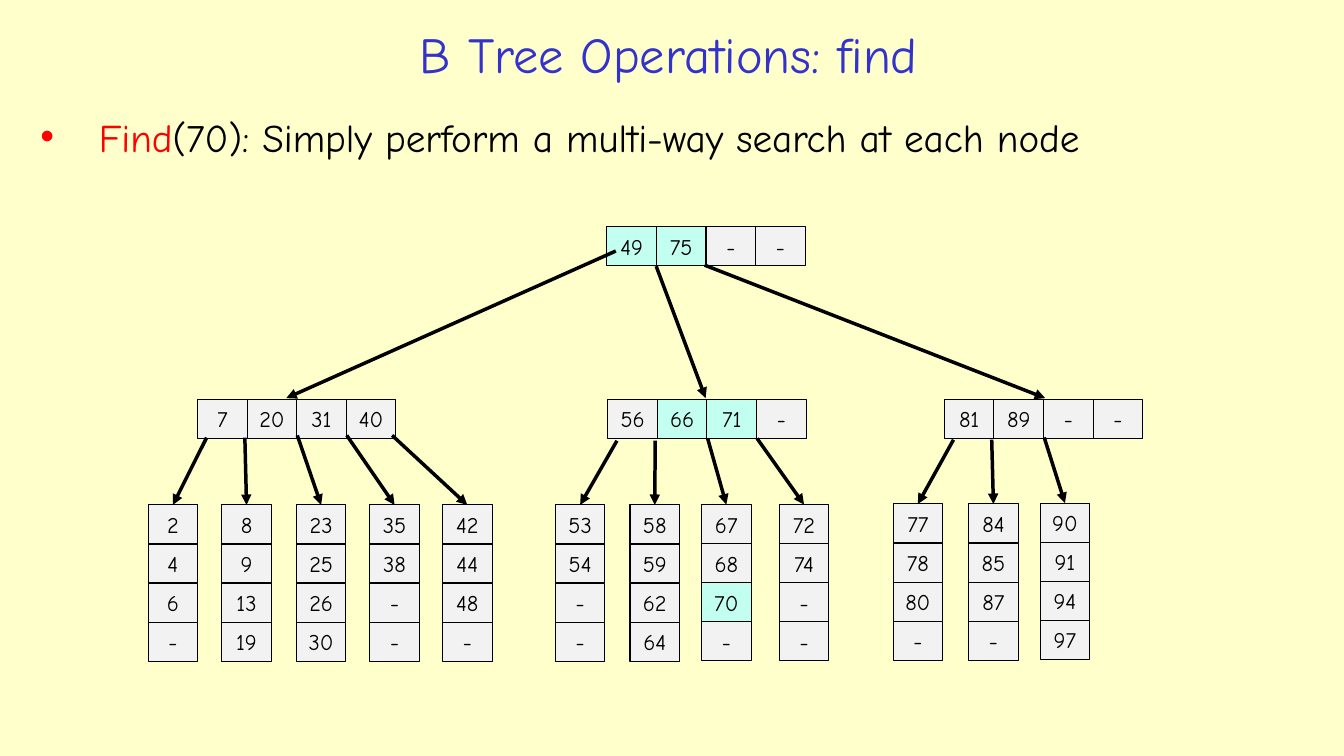
from lxml import etree
from pptx import Presentation
from pptx.dml.color import RGBColor
from pptx.enum.shapes import MSO_CONNECTOR, MSO_SHAPE
from pptx.enum.text import MSO_ANCHOR, MSO_AUTO_SIZE, PP_ALIGN
from pptx.oxml.ns import qn
from pptx.util import Pt

RECTANGLE = MSO_SHAPE.RECTANGLE
STRAIGHT = MSO_CONNECTOR.STRAIGHT
MIDDLE, TOP = MSO_ANCHOR.MIDDLE, MSO_ANCHOR.TOP
CENTER, LEFT = PP_ALIGN.CENTER, PP_ALIGN.LEFT
NO_AUTOFIT = MSO_AUTO_SIZE.NONE
TOP_SITE = 0

COLORS = {
    "background": "FFFFCC",
    "title": "3333CC",
    "keyword": "FF0000",
    "ink": "000000",
    "key": "F2F2F2",
    "visited": "C2FFF0",
}
FONT = "Comic Neue"
KEY_WIDTH, KEY_HEIGHT = 35.4, 27.9
VISITED = {"49", "75", "66", "71", "70"}

ROOT = (433.5, 162, "49 75 - -")
ROOT_ARROWS = [
    ((439.9, 179.3), (204.5, 284.4)),
    ((468.7, 190.1), (504, 284.4)),
    ((503.3, 189.4), (746.6, 284.4)),
]
CHILD_TOP = 285.1
# left edge, keys, top of the pointers, leaves as (left, top, keys)
CHILDREN = [
    (141.1, "7 20 31 40", 311, [
        (105.8, 360.7, "2 4 6 -"),
        (158.4, 360.7, "8 9 13 19"),
        (211.7, 360.7, "23 25 26 30"),
        (264.2, 360.7, "35 38 - -"),
        (316.1, 360.7, "42 44 48 -"),
    ]),
    (434.2, "56 66 71 -", 313.2, [
        (396.7, 360.7, "53 54 - -"),
        (450, 360.7, "58 59 62 64"),
        (501.1, 360.4, "67 68 70 -"),
        (556.6, 360.4, "72 74 - -"),
    ]),
    (674.6, "81 89 - -", 312.5, [
        (637.9, 360, "77 78 80 -"),
        (691.9, 360, "84 85 87 -"),
        (743, 359.4, "90 91 94 97"),
    ]),
]
POINTER_OFFSETS = [(6.5, 1.6), (33.8, 1.6), (71.3, 0), (106.6, 0), (139, 0)]


def rgb(name):
    return RGBColor.from_string(COLORS[name])


def add_text(paragraph, text, size=16, color="ink", align=CENTER):
    paragraph.alignment = align
    run = paragraph.add_run()
    run.text = text
    run.font.name = FONT
    run.font.size = Pt(size)
    run.font.color.rgb = rgb(color)


class TreeSlide:
    """Holds the slide and draws its text, B-tree nodes and pointers."""

    def __init__(self, deck):
        self.slide = deck.slides.add_slide(deck.slide_layouts[1])
        background = self.slide.background.fill
        background.solid()
        background.fore_color.rgb = rgb("background")

    def place(self, placeholder, left, top, width, height, anchor):
        placeholder.left, placeholder.top = Pt(left), Pt(top)
        placeholder.width, placeholder.height = Pt(width), Pt(height)
        frame = placeholder.text_frame
        frame.auto_size = NO_AUTOFIT
        frame.word_wrap = True
        frame.vertical_anchor = anchor
        paragraph = frame.paragraphs[0]
        paragraph.space_before = Pt(0)
        return paragraph

    def title(self, text):
        heading = self.place(self.slide.shapes.title, 69.8, 10.8, 815.8, 54.7, MIDDLE)
        add_text(heading, text, size=36, color="title")

    def bullet(self, keyword, explanation):
        point = self.place(self.slide.placeholders[1], 21.6, 77, 912.2, 49.7, TOP)
        properties = point._p.get_or_add_pPr()
        properties.set("marL", str(Pt(41.8)))
        properties.set("indent", str(Pt(-41.8)))
        etree.SubElement(properties, qn("a:buChar"), char="•")
        add_text(point, keyword, size=28, color="keyword", align=LEFT)
        add_text(point, explanation, size=28, align=LEFT)

    def key(self, text, left, top):
        box = self.slide.shapes.add_shape(
            RECTANGLE, Pt(left), Pt(top), Pt(KEY_WIDTH), Pt(KEY_HEIGHT))
        box.shadow.inherit = False
        box.fill.solid()
        box.fill.fore_color.rgb = rgb("visited" if text in VISITED else "key")
        box.line.color.rgb = rgb("ink")
        box.line.width = Pt(0.75)
        frame = box.text_frame
        frame.margin_left = frame.margin_right = Pt(0)
        frame.margin_top = frame.margin_bottom = Pt(0)
        frame.vertical_anchor = MIDDLE
        add_text(frame.paragraphs[0], text)
        return box

    def node(self, left, top, keys, step_x=KEY_WIDTH, step_y=0):
        """Draw a run of keys and return the first one."""
        boxes = [self.key(text, left + i * step_x, top + i * step_y)
                 for i, text in enumerate(keys.split())]
        return boxes[0]

    def arrow(self, start, end, target=None):
        """Draw a pointer, joined to the top of target if there is one."""
        pointer = self.slide.shapes.add_connector(
            STRAIGHT, Pt(start[0]), Pt(start[1]), Pt(end[0]), Pt(end[1]))
        if target is not None:
            pointer.end_connect(target, TOP_SITE)
        pointer.line.color.rgb = rgb("ink")
        pointer.line.width = Pt(2.5)
        etree.SubElement(pointer.line._get_or_add_ln(), qn("a:tailEnd"), type="triangle")
        etree.SubElement(pointer._element.spPr, qn("a:effectLst"))


def main():
    deck = Presentation()
    deck.slide_width, deck.slide_height = Pt(960), Pt(540)
    tree = TreeSlide(deck)
    tree.title("B Tree Operations: find")
    tree.bullet("Find", "(70): Simply perform a multi-way search at each node")

    tree.node(*ROOT)
    for left, keys, pointer_top, leaves in CHILDREN:
        tree.node(left, CHILD_TOP, keys)
        for (offset, drop), (leaf_left, leaf_top, leaf_keys) in zip(POINTER_OFFSETS, leaves):
            leaf = tree.node(leaf_left, leaf_top, leaf_keys, step_x=0, step_y=KEY_HEIGHT)
            tree.arrow((left + offset, pointer_top + drop),
                       (leaf_left + KEY_WIDTH / 2, leaf_top), leaf)
    for start, end in ROOT_ARROWS:
        tree.arrow(start, end)

    deck.save("out.pptx")


if __name__ == "__main__":
    main()
